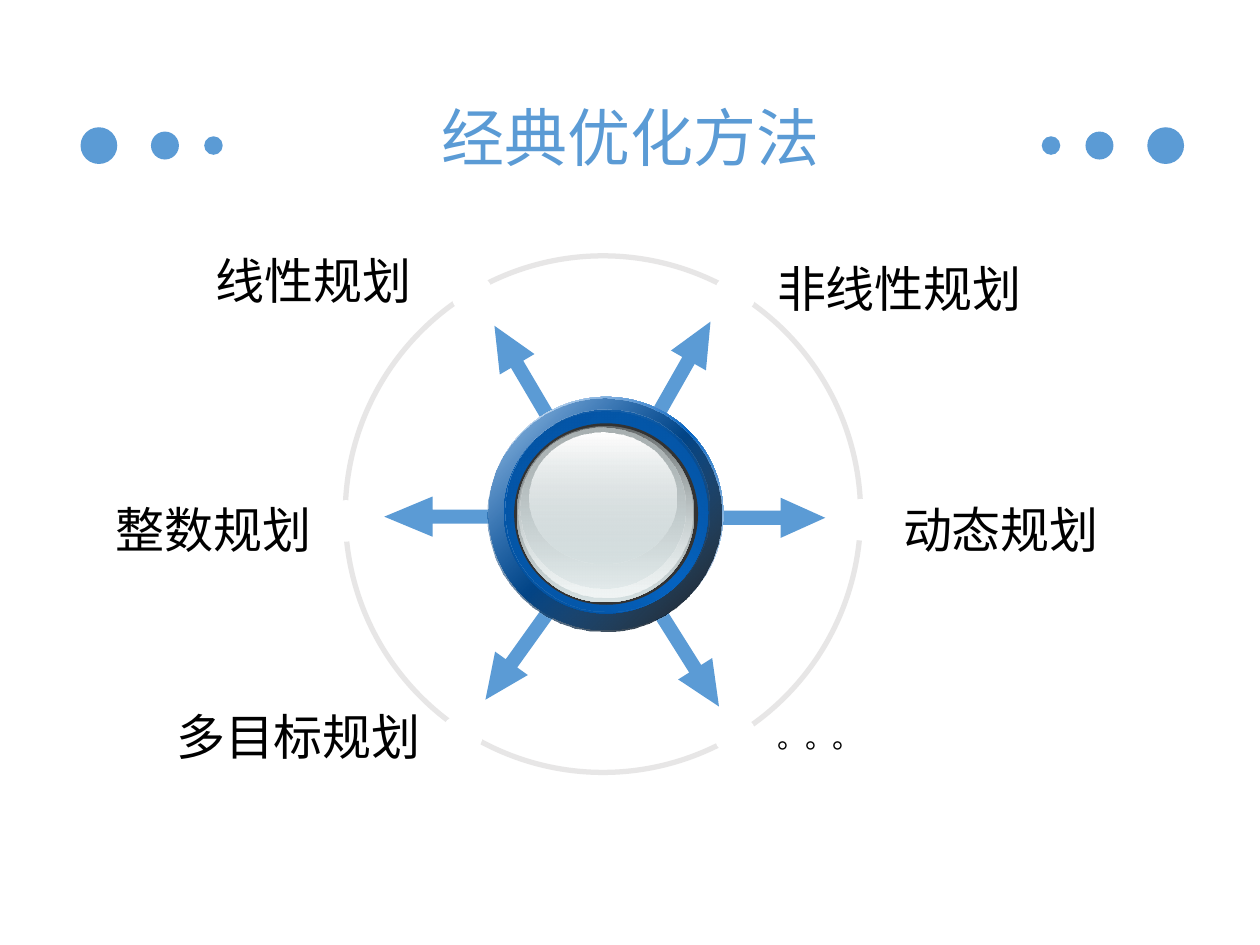
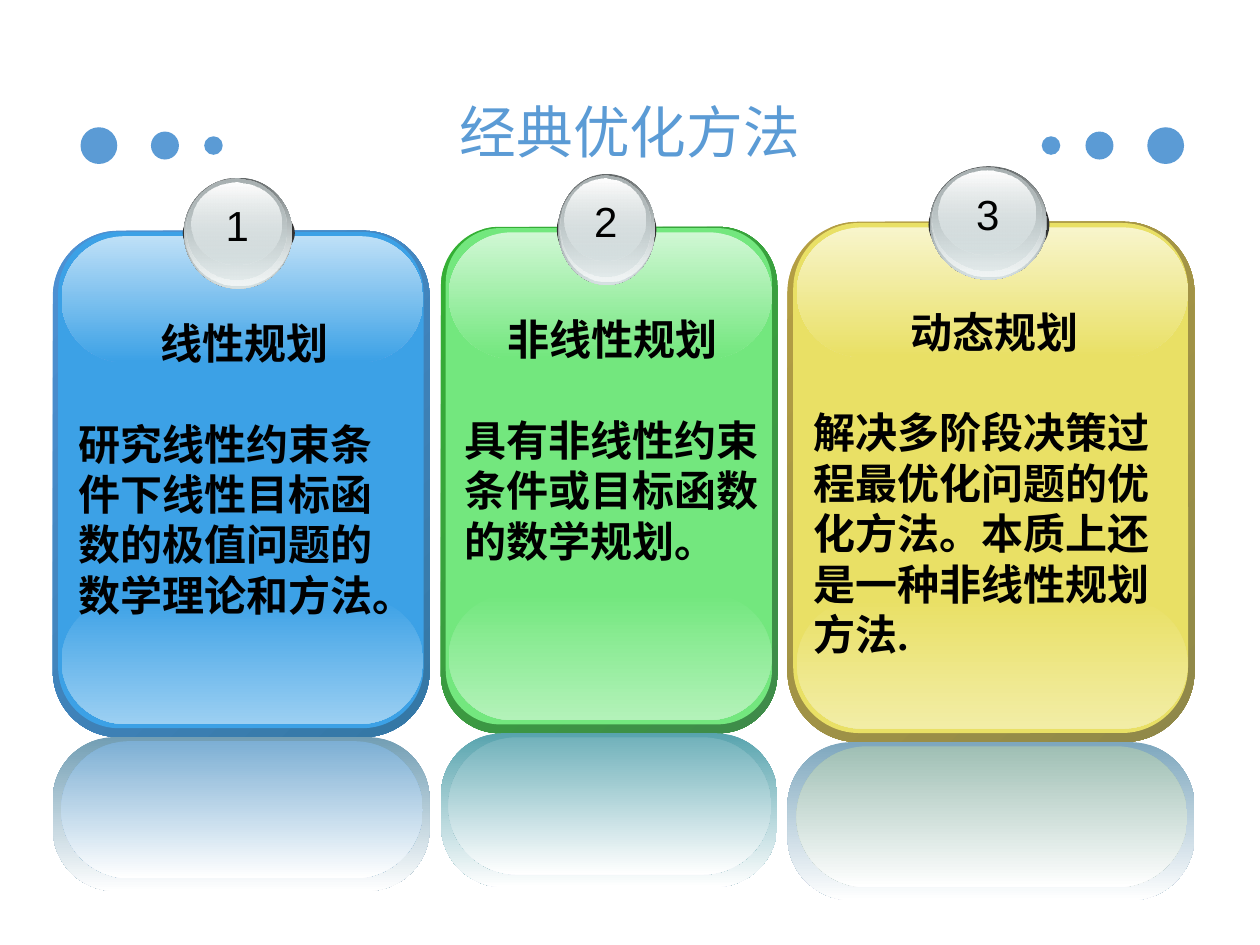
from dataclasses import dataclass
from typing import NamedTuple, Optional, Union

from lxml import etree
from pptx import Presentation
from pptx.dml.color import RGBColor
from pptx.enum.shapes import MSO_SHAPE
from pptx.enum.text import MSO_ANCHOR, PP_ALIGN
from pptx.oxml.ns import qn
from pptx.util import Pt

OVAL = MSO_SHAPE.OVAL
ROUND_RECT = MSO_SHAPE.ROUNDED_RECTANGLE
ARROW = MSO_SHAPE.RIGHT_ARROW
LEFT, CENTER = PP_ALIGN.LEFT, PP_ALIGN.CENTER
TOP, MIDDLE = MSO_ANCHOR.TOP, MSO_ANCHOR.MIDDLE


# Theme
@dataclass(frozen=True)
class Theme:
    accent: str = "5B9BD5"
    text: str = "000000"
    paper: str = "FFFFFF"
    ring: str = "E7E6E6"
    backing: str = "333333"
    sans: str = "Arial"
    serif: str = "Times New Roman"
    title: float = 36
    small_title: float = 32.4
    label: float = 28
    card: float = 24
    ellipsis: float = 16


THEME = Theme()


class Box(NamedTuple):
    """Left, top, width and height in points."""
    x: float
    y: float
    w: float
    h: float


def inside(box: Box, fx: float, fy: float, fw: float, fh: float) -> Box:
    return Box(box.x + fx * box.w, box.y + fy * box.h, fw * box.w, fh * box.h)


def centred(cx: float, cy: float, w: float, h: float) -> Box:
    return Box(cx - w / 2, cy - h / 2, w, h)


class Stop(NamedTuple):
    color: str
    alpha: int = 100


class Gradient(NamedTuple):
    """Evenly spaced stops; the angle runs clockwise in degrees."""
    stops: tuple[Stop, ...]
    angle: int = 90


Fill = Union[str, Gradient]


def blend(*colors: str, angle: int = 90) -> Gradient:
    return Gradient(tuple(Stop(c) for c in colors), angle)


class Layer(NamedTuple):
    box: Box
    fill: Fill


# Drawing helpers
def set_gradient(sp, gradient: Gradient) -> None:
    sp.fill.background()
    spPr = sp._element.spPr
    grad = etree.Element(qn("a:gradFill"), rotWithShape="1")
    stops = etree.SubElement(grad, qn("a:gsLst"))
    last = len(gradient.stops) - 1
    for i, stop in enumerate(gradient.stops):
        gs = etree.SubElement(stops, qn("a:gs"), pos=str(100000 * i // last))
        color = etree.SubElement(gs, qn("a:srgbClr"), val=stop.color)
        if stop.alpha < 100:
            etree.SubElement(color, qn("a:alpha"), val=str(stop.alpha * 1000))
    etree.SubElement(grad, qn("a:lin"), ang=str(gradient.angle * 60000), scaled="0")
    spPr.replace(spPr.find(qn("a:noFill")), grad)


def add_shape(slide, kind, box: Box, fill: Optional[Fill], adj: tuple[float, ...] = (),
              line: Optional[str] = None):
    sp = slide.shapes.add_shape(kind, *(Pt(v) for v in box))
    sp.shadow.inherit = False
    for i, value in enumerate(adj):
        sp.adjustments[i] = value
    if fill is None:
        sp.fill.background()
    elif isinstance(fill, Gradient):
        set_gradient(sp, fill)
    else:
        sp.fill.solid()
        sp.fill.fore_color.rgb = RGBColor.from_string(fill)
    if line:
        sp.line.color.rgb = RGBColor.from_string(line)
        sp.line.width = Pt(3)
    else:
        sp.line.fill.background()
    return sp


def add_text(slide, box: Box, text: str, size: float, color: str = THEME.text,
             font: str = THEME.sans, bold: bool = False, align=LEFT, anchor=TOP,
             wrap: bool = False):
    tf = slide.shapes.add_textbox(*(Pt(v) for v in box)).text_frame
    tf.word_wrap = wrap
    tf.vertical_anchor = anchor
    tf.text = text
    for p in tf.paragraphs:
        p.alignment = align
        for r in p.runs:
            r.font.size, r.font.name, r.font.bold = Pt(size), font, bold
            r.font.color.rgb = RGBColor.from_string(color)
    return tf


# Shared slide frame: title between two mirrored rows of dots
class Dot(NamedTuple):
    cx: float
    size: float


DOTS = (Dot(56.5, 21), Dot(94.3, 16), Dot(122, 10.6))
DOT_Y = 83.2
MIRROR_SUM = 722.6


def new_slide(prs, box: Box, title_size: float):
    slide = prs.slides.add_slide(prs.slide_layouts[6])
    for dot in DOTS:
        for cx in (dot.cx, MIRROR_SUM - dot.cx):
            add_shape(slide, OVAL, centred(cx, DOT_Y, dot.size, dot.size), THEME.accent)
    add_text(slide, box, "经典优化方法", title_size, THEME.accent,
             align=CENTER, anchor=MIDDLE, wrap=True)
    return slide


# Glass button: four gloss layers as fractions of the button
GLASS = (
    Layer(Box(0, 0, 1, 1), blend("636869", "D6E1E2")),
    Layer(Box(.01, 0, .98, .97), Gradient((Stop("D6E1E2", 0), Stop("F1F5F5")))),
    Layer(Box(.02, .01, .93, .91), Gradient((Stop("AAB2B3"), Stop("D6E1E2", 48)))),
    Layer(Box(.07, .04, .83, .74), Gradient((Stop("FFFFFF"), Stop("D6E1E2", 38)))),
)


def add_glass(slide, box: Box, backing: Box) -> None:
    add_shape(slide, OVAL, backing, THEME.backing)
    for layer in GLASS:
        add_shape(slide, OVAL, inside(box, *layer.box), layer.fill)


# Slide 1: hub with arrows to the methods
class Arrow(NamedTuple):
    cx: float
    cy: float
    angle: float
    length: float = 62.6


class Label(NamedTuple):
    x: float
    y: float
    text: str
    size: float = THEME.label


ARROW_H = 23
ARROWS = (
    Arrow(390.6, 211, 299.6), Arrow(394.2, 377.3, 57.8), Arrow(298.4, 213.1, 239.5),
    Arrow(295.6, 374.4, 125.6), Arrow(440.3, 295.9, 0), Arrow(253.4, 295.2, 180, 67.7),
)
LABELS = (
    Label(437, 144, "非线性规划"), Label(116, 139.7, "线性规划"),
    Label(509, 282.2, "动态规划"), Label(437, 408.2, "。。。", THEME.ellipsis),
    Label(59, 282.2, "整数规划"), Label(93.6, 400.3, "多目标规划"),
)
RING = Box(197.3, 146.2, 294.5, 295.2)
RING_GAP = 23.8
RING_GAPS = ((185.8, 285.8), (257.8, 156.2), (408.2, 156.2),
             (252, 408.2), (408.2, 408.2), (480.2, 285.1))
HUB = (
    Layer(Box(279.4, 226.8, 133.9, 133.2), blend("FFFFFF", "0563C1", "FFFFFF", angle=45)),
    Layer(Box(278.6, 227.5, 133.9, 133.2),
          Gradient((Stop("0563C1", 32), Stop("000000", 90)), 45)),
    Layer(Box(288, 235.4, 116.6, 115.2), blend("044C94", "0563C1", "044C94", angle=315)),
    Layer(Box(288.7, 234, 116.6, 115.2),
          Gradient((Stop("04519E"), Stop("0563C1", 0)), 45)),
)


def build_hub_slide(prs) -> None:
    slide = new_slide(prs, Box(223.9, 52.6, 272.2, 51), THEME.title)
    for a in ARROWS:
        sp = add_shape(slide, ARROW, centred(a.cx, a.cy, a.length, ARROW_H),
                       THEME.accent, (.352, 1.11 * a.length / 62.6))
        sp.rotation = a.angle
    add_shape(slide, OVAL, RING, None, line=THEME.ring)
    for x, y in RING_GAPS:
        add_shape(slide, OVAL, Box(x, y, RING_GAP, RING_GAP), THEME.paper)
    for lb in LABELS:
        box = Box(lb.x, lb.y, len(lb.text) * lb.size + 15.4, 1.2 * lb.size + 7.4)
        add_text(slide, box, lb.text, lb.size)
    for layer in HUB:
        add_shape(slide, OVAL, layer.box, layer.fill)
    add_glass(slide, Box(295.2, 243.4, 101.5, 100.8), Box(293.8, 241.9, 105.1, 103.7))


# Slide 2: three numbered glossy cards
@dataclass(frozen=True)
class Card:
    box: Box
    badge: Box
    backing: Box
    text_top: float
    heading: str
    body: str
    edge: tuple[str, str]
    face: str
    low_gloss: str
    top_gloss: str
    mirror: str
    mirror_gloss: str


CARDS = (
    Card(Box(30.2, 131.8, 215.3, 289.4), Box(105.1, 101.5, 61.9, 63.4),
         Box(104.4, 114.5, 64.1, 37.4), 177.8,
         "线性规划", "研究线性约束条件下线性目标函数的极值问题的数学理论和方法。",
         ("4E91D4", "3477A4"), "3CA1E6", "9BCFF2", "BEE0F7", "729EB4", "7DAFD4"),
    Card(Box(252, 129.6, 192.2, 289.4), Box(319, 99.4, 55.4, 63.4),
         Box(318.2, 107.3, 56.9, 48.2), 175.7,
         "非线性规划", "具有非线性约束条件或目标函数的数学规划。",
         ("34B034", "3F8B4A"), "73E77E", "B3F2B9", "D0F7D4", "58A4AE", "72B2BB"),
    Card(Box(450, 126.7, 232.6, 297.4), Box(531.4, 95, 67, 64.8),
         Box(530.6, 104.4, 69.1, 48.2), 171.4,
         "动态规划", "解决多阶段决策过程最优化问题的优化方法。本质上还是一种非线性规划方法.",
         ("B59F43", "8F8849"), "E9E065", "F2EDA6", "F8F5CC", "7EA7BE", "9FBFB4"),
)


def add_card(slide, number: int, card: Card) -> None:
    # Panel and reflection, as fractions of the card
    for area, adj, fill in (
        ((0, 0, 1, 1), .175, blend(*card.edge, angle=45)),
        ((.014, .0025, .97, .98), .167, card.face),
        ((.023, .725, .96, .249), .5, blend(card.face, card.low_gloss)),
        ((.023, .011, .96, .249), .5, blend(card.top_gloss, card.face)),
        ((0, 1, 1, .304), .404, blend(card.mirror, THEME.paper)),
        ((.022, 1.008, .96, .271), .5, blend(card.mirror_gloss, THEME.paper)),
    ):
        add_shape(slide, ROUND_RECT, inside(card.box, *area), fill, (adj,))
    # Number badge
    add_glass(slide, card.badge, card.backing)
    b = card.badge
    add_text(slide, centred(b.x + b.w / 2 - .5, b.y + b.h / 2 - 5, 28, 36),
             str(number), THEME.card, align=CENTER)
    # Heading and body, one line apart
    box = Box(card.box.x + .034 * card.box.w, card.text_top, .951 * card.box.w, 180)
    tf = add_text(slide, box, f"{card.heading}\n{card.body}", THEME.card,
                  font=THEME.serif, bold=True, wrap=True)
    heading, body = tf.paragraphs
    heading.alignment = CENTER
    body.space_before = Pt(28.8)


def build_card_slide(prs) -> None:
    slide = new_slide(prs, Box(62, 49.7, 596, 49.7), THEME.small_title)
    for number, card in enumerate(CARDS, 1):
        add_card(slide, number, card)


def main() -> None:
    prs = Presentation()
    prs.slide_width, prs.slide_height = Pt(720), Pt(540)
    build_hub_slide(prs)
    build_card_slide(prs)
    prs.save("out.pptx")


if __name__ == "__main__":
    main()
